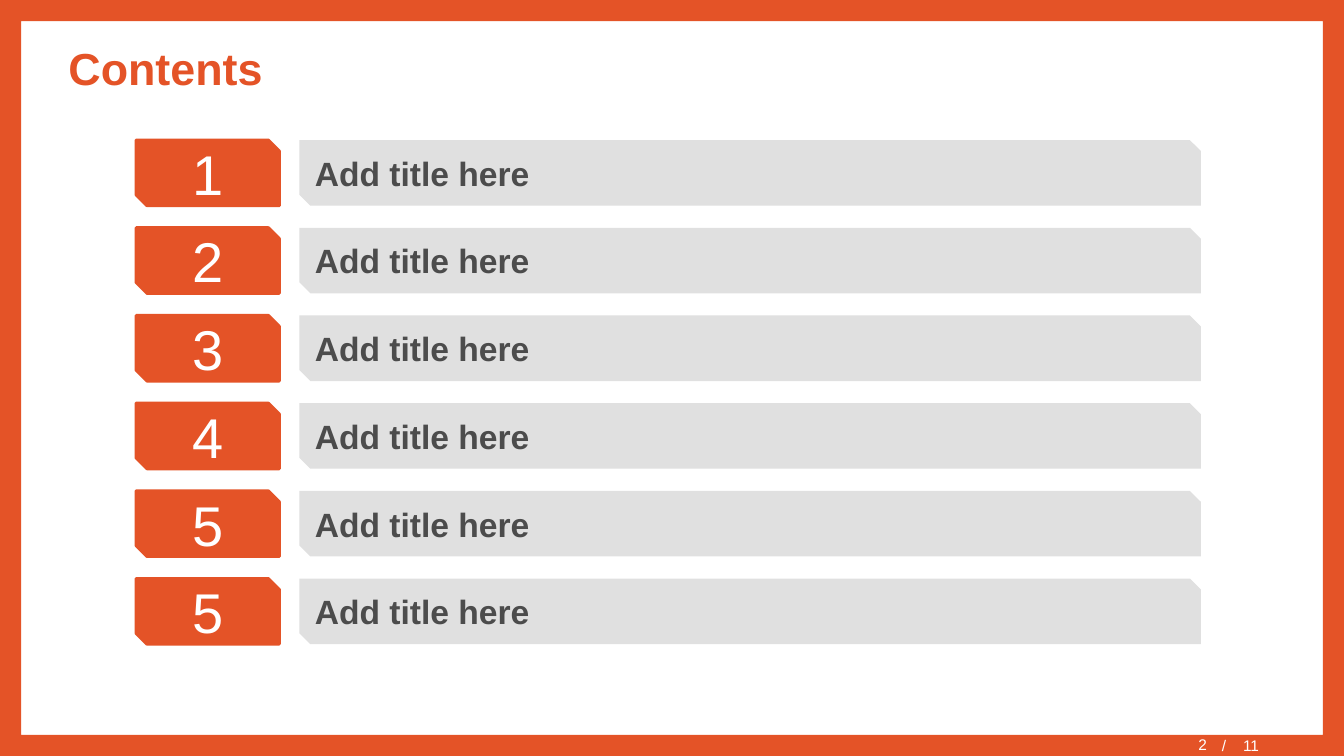
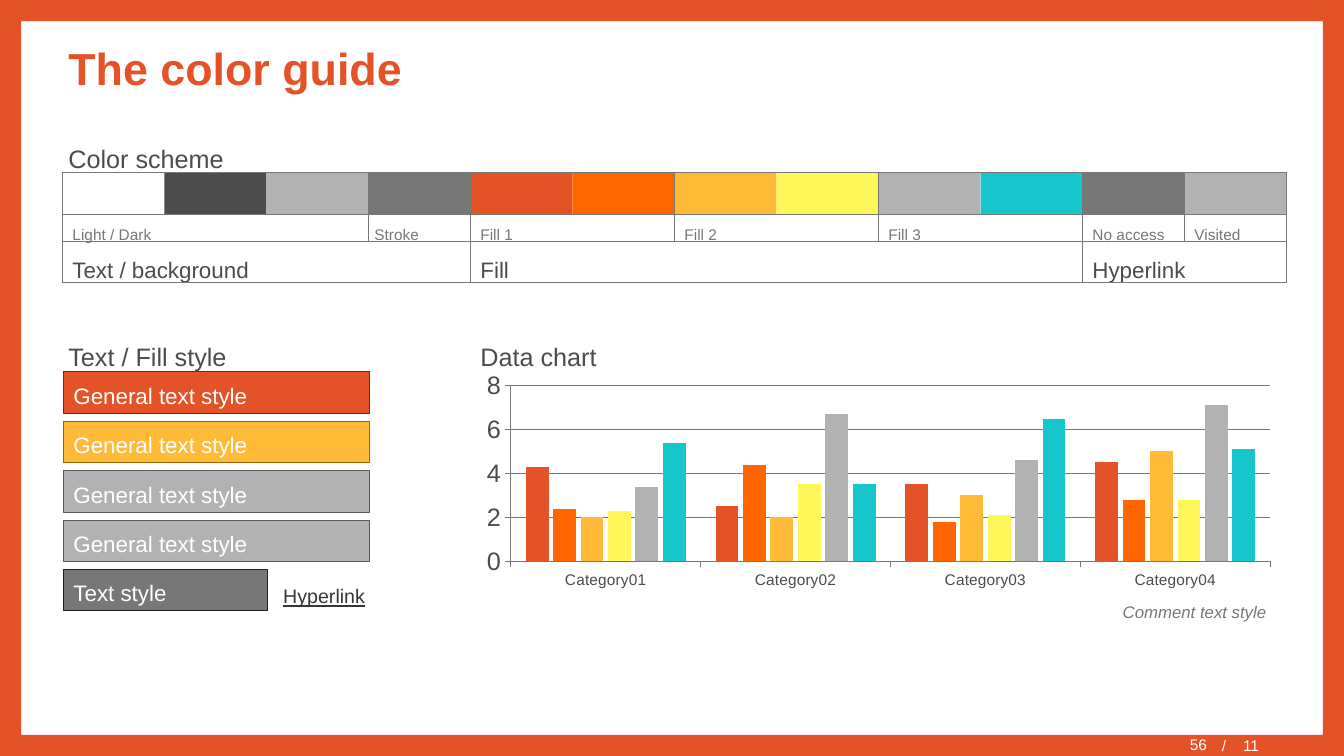
from lxml import etree
from pptx import Presentation, util as u
from pptx.chart.data import CategoryChartData
from pptx.dml.color import RGBColor
from pptx.enum import chart as ch, shapes, text
from pptx.oxml.ns import qn

W, H = 13.33, 7.5
FONT = "Arial"
C = {
    "white": "FFFFFF", "dark": "4C4C4C", "mid": "777777", "gray": "B2B2B2",
    "pale": "E0E0E0", "red": "E45327", "orange": "FF6600", "amber": "FFBA37",
    "yellow": "FFF65C", "teal": "16C6CC", "link": "373737",
    "red_edge": "77270F", "amber_edge": "9B6600", "gray_edge": "595959",
    "mid_edge": "1E1E1E",
}
RECT = shapes.MSO_SHAPE.RECTANGLE
SNIP = shapes.MSO_SHAPE.SNIP_2_DIAG_RECTANGLE
LEFT, CENTER, RIGHT = (text.PP_ALIGN.LEFT, text.PP_ALIGN.CENTER,
                       text.PP_ALIGN.RIGHT)


def rgb(name):
    return RGBColor.from_string(C[name])


def inches(*lengths):
    return [u.Inches(n) for n in lengths]


# Basic parts
def write(sp, words, size=16, color="dark", bold=False, italic=False,
          underline=False, align=LEFT, spacing=None, middle=True, tab=None):
    tf = sp.text_frame
    tf.vertical_anchor = (text.MSO_ANCHOR.MIDDLE if middle
                          else text.MSO_ANCHOR.TOP)
    p = tf.paragraphs[0]
    p.alignment = align
    if spacing:
        p.line_spacing = spacing
    if tab:
        tabs = etree.SubElement(p._p.get_or_add_pPr(), qn("a:tabLst"))
        etree.SubElement(tabs, qn("a:tab"), pos=str(u.Inches(tab)), algn="l")
    r = p.add_run()
    r.text = words
    f = r.font
    f.name, f.size, f.color.rgb = FONT, u.Pt(size), rgb(color)
    f.bold, f.italic, f.underline = bold, italic, underline
    return sp


def box(s, at, fill, kind=RECT, edge=None, weight=0.75):
    sp = s.shapes.add_shape(kind, *inches(*at))
    sp.shadow.inherit = False
    sp.fill.solid()
    sp.fill.fore_color.rgb = rgb(fill)
    if edge:
        sp.line.color.rgb = rgb(edge)
        sp.line.width = u.Pt(weight)
    else:
        sp.line.fill.background()
    return sp


def text_box(s, at, words, **fmt):
    sp = s.shapes.add_textbox(*inches(*at))
    sp.text_frame.word_wrap = True
    return write(sp, words, **fmt)


def label(s, at, words, **fmt):
    sp = text_box(s, at, words, spacing=1.2, middle=False, **fmt)
    sp.text_frame.word_wrap = False
    sp.text_frame.auto_size = text.MSO_AUTO_SIZE.SHAPE_TO_FIT_TEXT
    return sp


def rule(s, x1, y1, x2, y2):
    ln = s.shapes.add_connector(shapes.MSO_CONNECTOR.STRAIGHT,
                                *inches(x1, y1, x2, y2))
    ln.line.color.rgb = rgb("mid")
    ln.line.width = u.Pt(0.75)
    etree.SubElement(ln._element.spPr, qn("a:effectLst"))


# Frame, title and page number of every slide
def new_slide(prs, title, page):
    s = prs.slides.add_slide(prs.slide_layouts[6])
    frame = box(s, (0, 0, W, H), "red", shapes.MSO_SHAPE.FRAME)
    frame.adjustments[0] = 0.028
    text_box(s, (0.58, 0.28, 12.18, 0.79), title, size=32, color="red",
             bold=True)
    text_box(s, (12.02, 7.3, 1.31, 0.18), "/\t11", size=11, color="white",
             tab=0.21)
    number = text_box(s, (9.48, 7.32, 2.59, 0.18), page, size=11,
                      color="white", align=RIGHT)
    number.text_frame.margin_top = 0
    return s


# Numbered rows of the contents
def contents(s, x, y, w, rows):
    row_h, pitch, number_w, gap = 0.65, 0.87, 1.42, 0.2
    bar_x = x + number_w + gap
    for i, (number, title) in enumerate(rows):
        top = y + i * pitch
        write(box(s, (x, top, number_w, row_h), "red", SNIP, "red", 2.25),
              number, size=40, color="white", align=CENTER)
        write(box(s, (bar_x, top, x + w - bar_x, row_h), "pale", SNIP),
              title, size=24, bold=True)


# Swatches over two rows of captions, on twelve columns
def color_scheme(s, x, y, w):
    swatches = ["white", "dark", "gray", "mid", "red", "orange", "amber",
                "yellow", "gray", "teal", "mid", "gray"]
    # start column, width, caption
    uses = [(0, 0.99, "Light / Dark"), (2.96, 0.65, "Stroke"),
            (4, 0.53, "Fill 1"), (6, 0.53, "Fill 2"), (8, 0.53, "Fill 3"),
            (10, 0.92, "No access"), (11, 0.66, "Visited")]
    groups = [(0, 1.97, "Text / background"), (4, 0.49, "Fill"),
              (10, 1.13, "Hyperlink")]
    col = w / len(swatches)
    row_ys = [y, y + 0.42, y + 0.69, y + 1.09]

    for i, color in enumerate(swatches):
        box(s, (x + i * col, y, col, 0.42), color)
    for c, width, words in uses:
        label(s, (x + c * col, y + 0.44, width, 0.32), words, size=11,
              color="mid")
    for c, width, words in groups:
        label(s, (x + c * col, y + 0.73, width, 0.39), words)

    for row_y in row_ys:
        rule(s, x, row_y, x + w, row_y)
    for columns, bottom in (((0, 4, 10, 12), row_ys[3]),
                            ((3, 6, 8, 11), row_ys[2])):
        for c in columns:
            rule(s, x + c * col, y, x + c * col, bottom)


# Stack of filled text styles
def text_styles(s, x, y, w):
    styles = [("red", "red_edge"), ("amber", "amber_edge"),
              ("gray", "gray_edge"), ("gray", "gray_edge"),
              ("mid", "mid_edge")]
    pitch = 0.49
    for i, (fill, edge) in enumerate(styles):
        last = i == len(styles) - 1
        sp = box(s, (x, y + i * pitch, w * 2 / 3 if last else w, 0.41),
                 fill, edge=edge)
        write(sp, "Text style" if last else "General text style",
              color="white", spacing=1.2)
    label(s, (x + 2.08, y + 2.01, 1.02, 0.36), "Hyperlink", size=14,
          color="link", underline=True)


# Clustered columns
def data_chart(s, x, y, w, h):
    series = [("red", (4.3, 2.5, 3.5, 4.5)), ("orange", (2.4, 4.4, 1.8, 2.8)),
              ("amber", (2, 2, 3, 5)), ("yellow", (2.3, 3.5, 2.1, 2.8)),
              ("gray", (3.4, 6.7, 4.6, 7.1)), ("teal", (5.4, 3.5, 6.5, 5.1))]
    data = CategoryChartData()
    data.categories = [f"Category{n:02}" for n in range(1, 5)]
    for n, (_, values) in enumerate(series, 1):
        data.add_series(f"Series {n}", values)
    chart = s.shapes.add_chart(ch.XL_CHART_TYPE.COLUMN_CLUSTERED,
                               *inches(x, y, w, h), data).chart
    chart.has_legend = chart.has_title = False
    f = chart.font
    f.name, f.size, f.color.rgb = FONT, u.Pt(18), rgb("dark")

    plot = chart.plots[0]
    plot.gap_width, plot.overlap, plot.vary_by_categories = 130, -20, False
    for ser, (color, _) in zip(plot.series, series):
        ser.format.fill.solid()
        ser.format.fill.fore_color.rgb = rgb(color)

    cat, val = chart.category_axis, chart.value_axis
    cat.tick_labels.font.size = u.Pt(11)
    val.minimum_scale, val.maximum_scale, val.major_unit = 0, 8, 2
    val.has_major_gridlines = True
    for axis in (cat, val):
        axis.major_tick_mark = ch.XL_TICK_MARK.OUTSIDE
    for part in (cat, val, val.major_gridlines):
        part.format.line.color.rgb = rgb("mid")
        part.format.line.width = u.Pt(0.75)


def contents_slide(prs):
    s = new_slide(prs, "Contents", "2")
    contents(s, 1.35, 1.39, 10.56,
             [(n, "Add title here") for n in "123455"])


def color_guide_slide(prs):
    s = new_slide(prs, "The color guide", "56")
    x, w = 0.62, 12.14
    chart_x = x + w / 3
    color_scheme(s, x, 1.71, w)
    text_styles(s, x + 0.01, 3.69, w / 4)
    data_chart(s, chart_x, 3.64, w * 2 / 3, 2.25)
    label(s, (11.02, 5.88, 1.64, 0.32), "Comment text style", size=12,
          color="mid", italic=True, align=RIGHT)
    # Section headings
    for left, top, width, words in ((0.58, 1.31, 1.76, "Color scheme"),
                                    (0.58, 3.28, 1.79, "Text / Fill style"),
                                    (chart_x, 3.28, 1.37, "Data chart")):
        label(s, (left, top, width, 0.43), words, size=18)


def main():
    prs = Presentation()
    prs.slide_width, prs.slide_height = inches(W, H)
    contents_slide(prs)
    color_guide_slide(prs)
    prs.save("out.pptx")


if __name__ == "__main__":
    main()
